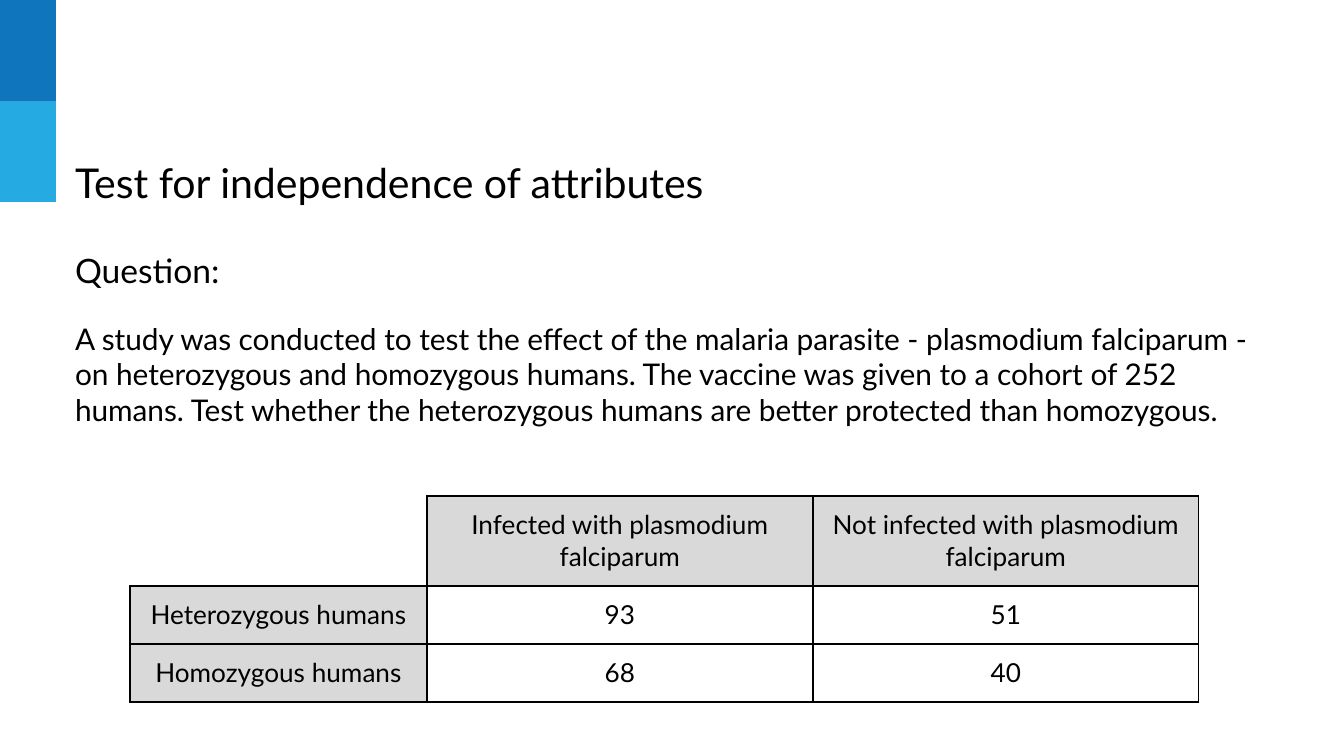
from lxml.etree import SubElement
from pptx import Presentation
from pptx.dml.color import RGBColor
from pptx.enum.shapes import MSO_SHAPE as Shape
from pptx.enum.text import MSO_ANCHOR as Anchor, MSO_AUTO_SIZE as AutoSize, PP_ALIGN as Align
from pptx.oxml.ns import qn
from pptx.util import Pt

# Content
TITLE = "Test for independence of attributes"
QUESTION = [
    ("Question:", "heading", {"line_spacing": 1.15}),
    ("A study was conducted to test the effect of the malaria parasite - plasmodium "
     "falciparum - on heterozygous and homozygous humans. The vaccine was given to a "
     "cohort of 252 humans. Test whether the heterozygous humans are better protected "
     "than homozygous.", "body", {"space_before": Pt(16), "space_after": Pt(15)}),
]
COUNTS = [
    ["", "Infected with plasmodium falciparum", "Not infected with plasmodium falciparum"],
    ["Heterozygous humans", "93", "51"],
    ["Homozygous humans", "68", "40"],
]

# Theme and layout, lengths in px
THEME = {
    "font": "Lato", "ink": "000000", "header": "D9D9D9", "bands": ["0F75BD", "25AAE2"],
    "title": 22, "heading": 18, "body": 16, "cell": 14, "border": 0.75,
}
SLIDE = (1344, 756)
BAND = (56, 101)
TITLE_BOX = (62, 144, 785, 58)
QUESTION_BOX = (62, 231, 1234, 250)
TABLE_CORNER = (130, 496)
COLUMNS = [297, 386, 386]
ROWS = [90, 58, 58]
INSET = 13


def px(length):
    return round(length * 914400 / 134.4)


def color(name):
    return RGBColor.from_string(name)


def set_all(target, values):
    for name, value in values.items():
        setattr(target, name, value)


def write(para, text, size, **layout):
    span = para.add_run()
    span.text = text
    set_all(para, layout)
    set_all(span.font, {"name": THEME["font"], "size": Pt(THEME[size]), "bold": False})
    span.font.color.rgb = color(THEME["ink"])


def format_frame(frame):
    set_all(frame, {"word_wrap": True, "auto_size": AutoSize.NONE,
                    "vertical_anchor": Anchor.TOP})
    set_all(frame, {f"margin_{side}": px(INSET) for side in ("left", "right", "top", "bottom")})


def draw_borders(cell, sides):
    properties = cell._tc.get_or_add_tcPr()
    for side in "LRTB":
        line = SubElement(properties, qn(f"a:ln{side}"), w=str(Pt(THEME["border"])))
        if side in sides:
            fill = SubElement(line, qn("a:solidFill"))
            SubElement(fill, qn("a:srgbClr"), val=THEME["ink"])
        else:
            SubElement(line, qn("a:noFill"))


deck = Presentation()
deck.slide_width, deck.slide_height = map(px, SLIDE)
page = deck.slides.add_slide(deck.slide_layouts[5])

# Side bands
for index, fill in enumerate(THEME["bands"]):
    band = page.shapes.add_shape(Shape.RECTANGLE, 0, px(index * BAND[1]), *map(px, BAND))
    band.shadow.inherit = False
    band.fill.solid()
    band.fill.fore_color.rgb = color(fill)
    band.line.fill.background()

# Title
title = page.shapes.title
set_all(title, dict(zip(("left", "top", "width", "height"), map(px, TITLE_BOX))))
format_frame(title.text_frame)
write(title.text_frame.paragraphs[0], TITLE, "title", alignment=Align.LEFT)

# Question
box = page.shapes.add_textbox(*map(px, QUESTION_BOX))
format_frame(box.text_frame)
for index, (text, size, layout) in enumerate(QUESTION):
    para = box.text_frame.add_paragraph() if index else box.text_frame.paragraphs[0]
    write(para, text, size, **layout)

# Table of counts
table = page.shapes.add_table(
    len(ROWS), len(COLUMNS), *map(px, (*TABLE_CORNER, sum(COLUMNS), sum(ROWS)))).table
set_all(table, {"first_row": False, "horz_banding": False})
for column, width in zip(table.columns, COLUMNS):
    column.width = px(width)
for row, height in zip(table.rows, ROWS):
    row.height = px(height)
for r, values in enumerate(COUNTS):
    for c, text in enumerate(values):
        cell = table.cell(r, c)
        set_all(cell, {f"margin_{side}": px(INSET) for side in ("left", "right", "top", "bottom")})
        draw_borders(cell, "LRTB" if text else "RB")
        if text and (r == 0 or c == 0):
            cell.fill.solid()
            cell.fill.fore_color.rgb = color(THEME["header"])
        else:
            cell.fill.background()
        if text:
            write(cell.text_frame.paragraphs[0], text, "cell", alignment=Align.CENTER)

deck.save("out.pptx")
